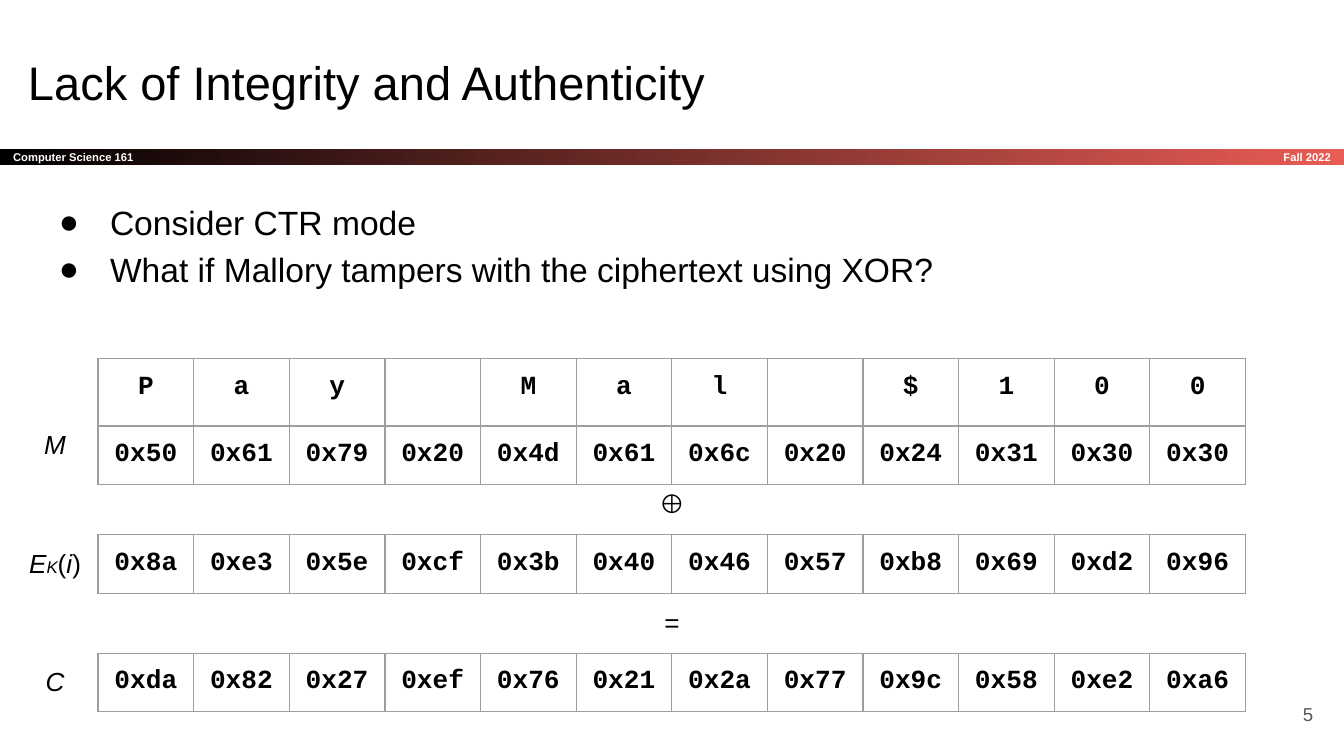
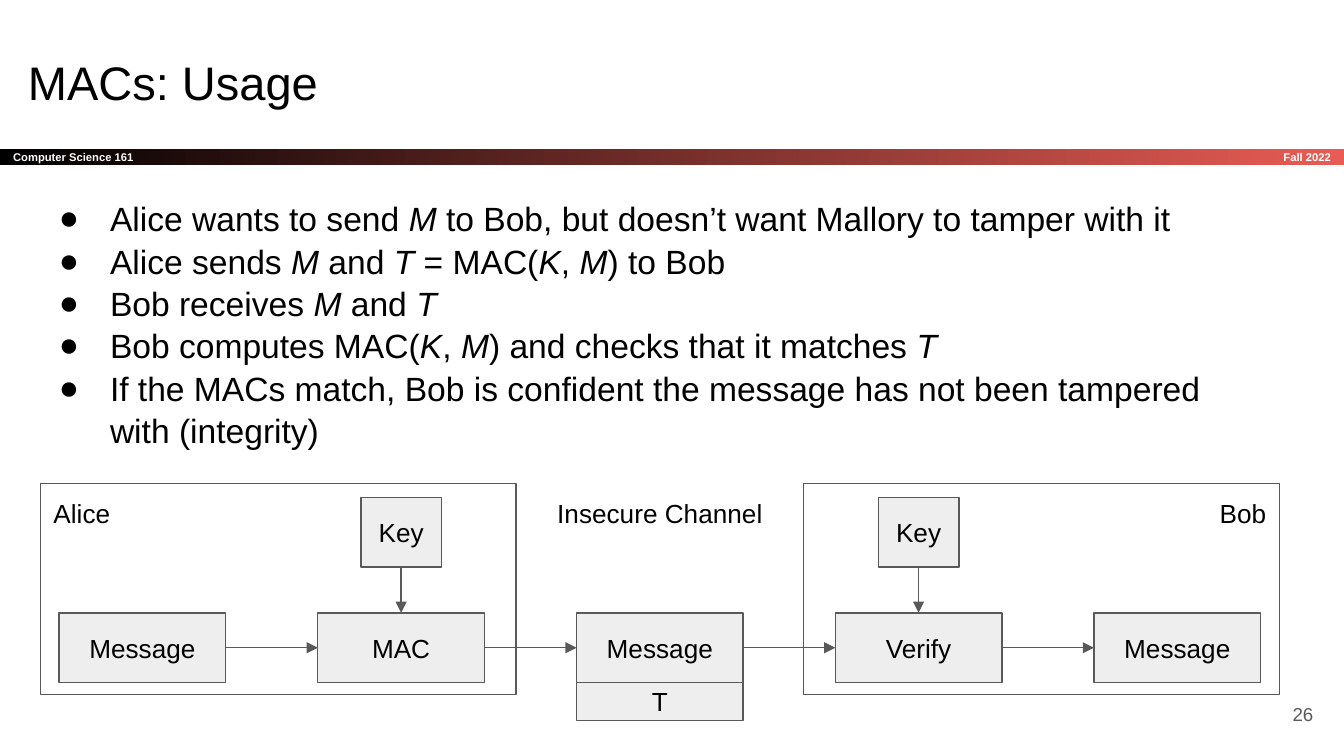
import pptx
import pptx.util
import pptx.dml.color
import pptx.enum.shapes
import pptx.enum.text
import pptx.oxml
import pptx.oxml.ns
from lxml import etree

Inches, Pt = pptx.util.Inches, pptx.util.Pt
RGBColor = pptx.dml.color.RGBColor
ALIGN, ANCHOR = pptx.enum.text.PP_ALIGN, pptx.enum.text.MSO_ANCHOR
SHAPE, LINK = pptx.enum.shapes.MSO_SHAPE, pptx.enum.shapes.MSO_CONNECTOR

BLACK = RGBColor(0x00, 0x00, 0x00)
WHITE = RGBColor(0xFF, 0xFF, 0xFF)
CORAL = RGBColor(0xE8, 0x5C, 0x54)
SLATE = RGBColor(0x59, 0x59, 0x59)
PALE = RGBColor(0xEE, 0xEE, 0xEE)
GRID = RGBColor(0x9E, 0x9E, 0x9E)

WIDE = 10
HIGH = WIDE * 9 / 16
COURSE, TERM = "Computer Science 161", "Fall 2022"

XOR = {
    "title": "Lack of Integrity and Authenticity",
    "number": "5",
    "points": ["Consider CTR mode",
               "What if Mallory tampers with the ciphertext using XOR?"],
    "spacing": 1.15,
    "depth": 1.83,
}
LETTERS = list("Pay Mal $100")
BYTES = [
    ("*M*", "0x50 0x61 0x79 0x20 0x4d 0x61 0x6c 0x20 0x24 0x31 0x30 0x30"),
    ("*E**_K*(*i*)", "0x8a 0xe3 0x5e 0xcf 0x3b 0x40 0x46 0x57 0xb8 0x69 0xd2 0x96"),
    ("*C*", "0xda 0x82 0x27 0xef 0x76 0x21 0x2a 0x77 0x9c 0x58 0xe2 0xa6"),
]
SIGNS = ["⊕", "="]

USAGE = {
    "title": "MACs: Usage",
    "number": "26",
    "points": ["Alice wants to send *M* to Bob, but doesn’t want Mallory to tamper with it",
               "Alice sends *M* and *T* = MAC(*K*, *M*) to Bob",
               "Bob receives *M* and *T*",
               "Bob computes MAC(*K*, *M*) and checks that it matches *T*",
               "If the MACs match, Bob is confident the message has not been "
               "tampered with (integrity)"],
    "spacing": 1.05,
    "depth": 2.2,
}
STEPS = ["Message", "MAC", "Message", "Verify", "Message"]
KEYED = [1, 3]
ZONES = [("Alice", ALIGN.LEFT), ("Insecure Channel", ALIGN.CENTER), ("Bob", ALIGN.RIGHT)]


def write(host, lines, size=14, color=BLACK, bold=False, font="Arial",
          align=ALIGN.LEFT, anchor=ANCHOR.TOP, bullet=False, spacing=None):
    for side in ("left", "right", "top", "bottom"):
        setattr(host, "margin_" + side, Inches(0.1))
    host.vertical_anchor = anchor
    host.word_wrap = True
    frame = getattr(host, "text_frame", host)
    for i, line in enumerate([lines] if isinstance(lines, str) else lines):
        para = frame.add_paragraph() if i else frame.paragraphs[0]
        para.alignment = align
        if bullet:
            mark(para)
        if spacing:
            para.line_spacing = spacing
        if not line:
            node(node(para._p, "a:endParaRPr", sz=1800), "a:latin", typeface=font)
        for j, part in enumerate(line.split("*")):
            if part:
                run = para.add_run()
                run.text = part.lstrip("_")
                run.font.size = Pt(9 if part.startswith("_") else size)
                run.font.name = font
                run.font.bold = bold
                run.font.italic = j % 2 == 1
                run.font.color.rgb = color


def node(parent, tag, **attrs):
    child = etree.SubElement(parent, pptx.oxml.ns.qn(tag))
    for key, value in attrs.items():
        child.set(key, str(value))
    return child


def mark(para):
    props = para._p.get_or_add_pPr()
    props.set("marL", str(Inches(0.5)))
    props.set("indent", str(-Inches(0.38)))
    node(node(props, "a:buClr"), "a:srgbClr", val=BLACK)
    node(props, "a:buFont", typeface="Arial")
    node(props, "a:buChar", char="●")


def label(slide, area, text, **form):
    box = slide.shapes.add_textbox(*map(Inches, area))
    write(box.text_frame, text, **form)


def block(slide, area, text="", fill=None):
    box = slide.shapes.add_shape(SHAPE.RECTANGLE, *map(Inches, area))
    box.shadow.inherit = False
    box.line.color.rgb = SLATE
    box.line.width = Pt(0.75)
    if fill is None:
        box.fill.background()
    else:
        box.fill.solid()
        box.fill.fore_color.rgb = fill
    if text:
        write(box.text_frame, text, align=ALIGN.CENTER, anchor=ANCHOR.MIDDLE)
    return box


def arrow(slide, start, out, end, into):
    line = slide.shapes.add_connector(LINK.STRAIGHT, 0, 0, 0, 0)
    line.begin_connect(start, out)
    line.end_connect(end, into)
    line.line.color.rgb = SLATE
    line.line.width = Pt(0.75)
    node(line.line._get_or_add_ln(), "a:tailEnd", type="triangle")
    node(line._element.spPr, "a:effectLst")


def table(slide, left, top, rows, high):
    wide = WIDE - 2 * left
    grid = slide.shapes.add_table(len(rows), len(rows[0]), Inches(left), Inches(top),
                                  Inches(wide), Inches(high * len(rows))).table
    grid.first_row = grid.horz_banding = False
    for col in grid.columns:
        col.width = Inches(wide / len(rows[0]))
    for r, row in enumerate(rows):
        grid.rows[r].height = Inches(high)
        for c, text in enumerate(row):
            cell = grid.cell(r, c)
            write(cell, text.strip(), font="Courier New", bold=True, align=ALIGN.CENTER)
            props = cell._tc.get_or_add_tcPr()
            for side in "LRTB":
                edge = node(props, "a:ln" + side, w=Pt(0.75))
                node(node(edge, "a:solidFill"), "a:srgbClr", val=GRID)
            cell.fill.background()


def start(deck, page):
    slide = deck.slides.add_slide(deck.slide_layouts[6])
    band = (0, 1.11, WIDE, 0.12)
    bar = slide.shapes.add_shape(SHAPE.RECTANGLE, *map(Inches, band))
    bar.shadow.inherit = False
    bar.line.fill.background()
    bar.fill.gradient()
    bar.fill.gradient_angle = 0
    for stop, color, place in zip(bar.fill.gradient_stops, (BLACK, CORAL), (0, 1)):
        stop.color.rgb = color
        stop.position = place
    small = dict(size=6, color=WHITE, bold=True, anchor=ANCHOR.MIDDLE)
    write(bar.text_frame, COURSE, **small)
    label(slide, (WIDE - 1.66, 1.11, 1.66, 0.12), TERM, align=ALIGN.RIGHT, **small)
    label(slide, (0.11, 0.3, 9.32, 0.63), page["title"], size=25.2)
    label(slide, (0.22, 1.36, 9.32, page["depth"]), page["points"],
          size=18, bullet=True, spacing=page["spacing"])
    label(slide, (9.27, 5.1, 0.6, 0.43), page["number"], size=10, color=SLATE,
          align=ALIGN.RIGHT, anchor=ANCHOR.MIDDLE)
    return slide


def draw_xor(deck):
    slide = start(deck, XOR)
    left, top, step, high = 0.73, 3.09, 0.44, 0.43
    for i, (name, line) in enumerate(BYTES):
        y = top + 2 * i * step
        label(slide, (0.11, y, 0.6, step), name, align=ALIGN.CENTER)
        if i:
            table(slide, left, y + 0.01, [line.split()], high)
        else:
            table(slide, left, 2.67, [LETTERS, line.split()], high)
    for i, sign in enumerate(SIGNS):
        y = top + (2 * i + 1) * step
        label(slide, ((WIDE - 0.6) / 2, y, 0.6, step), sign, align=ALIGN.CENTER)


def draw_usage(deck):
    slide = start(deck, USAGE)
    edge, top, zone = 0.3, 3.6, 3.54
    left, right = edge + zone, 5.98
    for x in (edge, right):
        block(slide, (x, top, zone, 1.57))
    first, wide, high, low = 0.44, 1.24, 0.52, 4.56
    pitch = (8.14 - first) / (len(STEPS) - 1)
    steps = [block(slide, (first + i * pitch, low, wide, high), text, PALE)
             for i, text in enumerate(STEPS)]
    for one, two in zip(steps, steps[1:]):
        arrow(slide, one, 3, two, 1)
    for i in KEYED:
        x = first + i * pitch + (wide - 0.6) / 2
        key = block(slide, (x, top + 0.1, 0.6, high), "Key", PALE)
        arrow(slide, key, 2, steps[i], 0)
    block(slide, (first + 2 * pitch, low + high, wide, 0.28), "T", PALE)
    spans = [(edge, 0.84), (left, right - left), (right + zone - 0.84, 0.84)]
    for (x, span), (text, align) in zip(spans, ZONES):
        label(slide, (x, top, span, 0.44), text, align=align)


def main():
    deck = pptx.Presentation()
    deck.slide_width, deck.slide_height = Inches(WIDE), Inches(HIGH)
    draw_xor(deck)
    draw_usage(deck)
    deck.save("out.pptx")


if __name__ == "__main__":
    main()
